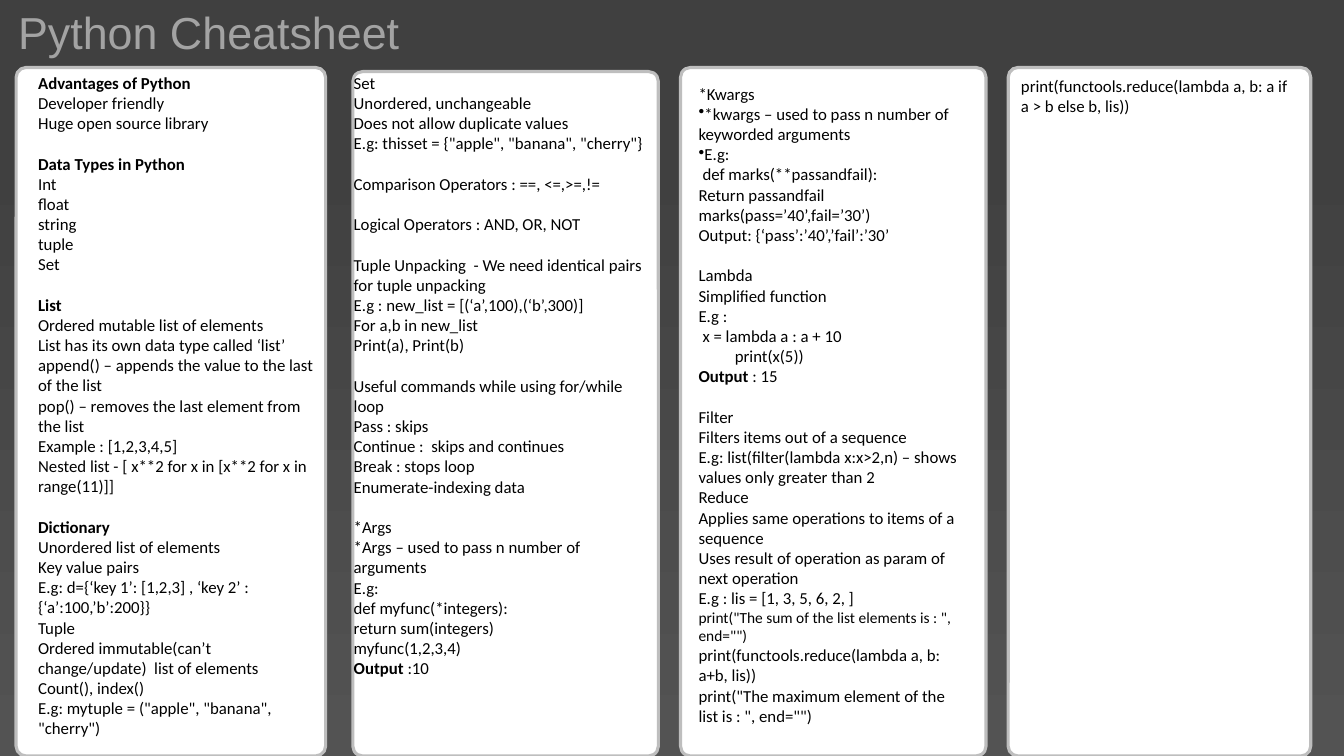
from pptx import Presentation
from pptx import util as u
from pptx.dml.color import RGBColor
from pptx.enum import shapes, text
from pptx.oxml.ns import qn

HUES = {"top": "404040", "base": "535353", "title": "A3A3A3",
        "card": "FFFFFF", "edge": "BEBEBE", "ink": "000000"}

BASICS = """# Advantages of Python
Developer friendly
Huge open source library

# Data Types in Python
Int
float
string
tuple
Set

# List
Ordered mutable list of elements
List has its own data type called ‘list’
append() – appends the value to the last of the list
pop() – removes the last element from the list
Example : [1,2,3,4,5]
Nested list - [ x**2 for x in [x**2 for x in range(11)]]

# Dictionary
Unordered list of elements
Key value pairs
E.g: d={‘key 1’: [1,2,3] , ‘key 2’ : {‘a’:100,’b’:200}}
Tuple
Ordered immutable(can’t change/update)  list of elements
Count(), index()
E.g: mytuple = ("apple", "banana", "cherry")"""

LOOPS = """Set
Unordered, unchangeable
Does not allow duplicate values
E.g: thisset = {"apple", "banana", "cherry"}

Comparison Operators : ==, <=,>=,!=

Logical Operators : AND, OR, NOT

Tuple Unpacking  - We need identical pairs for tuple unpacking
E.g : new_list = [(‘a’,100),(‘b’,300)]
For a,b in new_list
Print(a), Print(b)

Useful commands while using for/while loop
Pass : skips
Continue :  skips and continues
Break : stops loop
Enumerate-indexing data

*Args
*Args – used to pass n number of arguments
E.g:
def myfunc(*integers):
return sum(integers)
myfunc(1,2,3,4)
Output :10"""

TOOLS = """*Kwargs
• *kwargs – used to pass n number of keyworded arguments
• E.g:
 def marks(**passandfail):
Return passandfail
marks(pass=’40’,fail=’30’)
Output: {‘pass’:’40’,’fail’:’30’

Lambda
Simplified function
E.g :
 x = lambda a : a + 10
         print(x(5))
Output : 15

Filter
Filters items out of a sequence
E.g: list(filter(lambda x:x>2,n) – shows values only greater than 2
Reduce
Applies same operations to items of a sequence
Uses result of operation as param of next operation
E.g : lis = [1, 3, 5, 6, 2, ]
~ print("The sum of the list elements is : ", end="")
print(functools.reduce(lambda a, b: a+b, lis))
print("The maximum element of the list is : ", end="")"""

REDUCE = "print(functools.reduce(lambda a, b: a if a > b else b, lis))"

COLUMNS = [
    ((0.16, 0.67, 3.07, 6.83), (0.28, 0.67, 2.94, 6.83), BASICS),
    ((3.5, 0.71, 3.03, 6.79), (3.41, 0.67, 3.16, 6.77), LOOPS),
    ((6.75, 0.67, 3.03, 6.83), (6.83, 0.78, 2.83, 6.7), TOOLS),
    ((10, 0.67, 3, 6.83), None, REDUCE),
]


def color(name):
    """Return the named colour."""
    return RGBColor.from_string(HUES[name])


def inches(box):
    """Turn a box of numbers into lengths."""
    return [u.Inches(side) for side in box]


def write(para, words, size=12, font="Calibri", hue="ink", bold=False):
    """Add one formatted run to a paragraph."""
    run = para.add_run()
    run.text = words
    run.font.size, run.font.name, run.font.bold = u.Pt(size), font, bold
    run.font.color.rgb = color(hue)


def indent(para, width, bullet=False):
    """Set the left margin and an optional bullet."""
    props = para._p.get_or_add_pPr()
    props.set("marL", str(u.Inches(width)))
    props.set("indent", "0")
    if bullet:
        mark = props.makeelement(qn("a:buChar"), {"char": "•"})
        props.append(mark)


def notes(frame, body):
    """Fill a frame from marked lines, where an empty line makes a gap."""
    frame.word_wrap = True
    frame.auto_size = text.MSO_AUTO_SIZE.NONE
    frame.vertical_anchor = text.MSO_ANCHOR.TOP
    para, gap = frame.paragraphs[0], False
    for count, line in enumerate(body.split("\n")):
        if not line:
            gap = True
            continue
        if count:
            para = frame.add_paragraph()
        para.alignment = text.PP_ALIGN.LEFT
        if gap:
            para.space_before = u.Pt(14.5)
            gap = False
        mark = line[:2] if line[:2] in ("# ", "• ", "~ ") else ""
        words = line[len(mark):].lstrip(" ")
        depth = len(line) - len(line.lstrip(" "))
        if depth or mark == "• ":
            indent(para, depth * 0.04, mark == "• ")
        if words.startswith("Output "):
            write(para, "Output", bold=True)
            words = words[len("Output"):]
        write(para, words, size=11 if mark == "~ " else 12, bold=mark == "# ")


def column(slide, box, area, body):
    """Draw a rounded card and its notes."""
    card = slide.shapes.add_shape(shapes.MSO_SHAPE.ROUNDED_RECTANGLE, *inches(box))
    card.adjustments[0] = 0.032
    card.shadow.inherit = False
    card.fill.solid()
    card.fill.fore_color.rgb = color("card")
    card.line.color.rgb = color("edge")
    card.line.width = u.Pt(2.25)
    holder = slide.shapes.add_textbox(*inches(area)) if area else card
    notes(holder.text_frame, body)


def backdrop(slide):
    """Fill the background with a vertical gradient."""
    fill = slide.background.fill
    fill.gradient()
    fill.gradient_angle = 270
    for stop, place, name in zip(fill.gradient_stops, (0.19, 1), ("top", "base")):
        stop.position = place
        stop.color.rgb = color(name)


def heading(slide, box):
    """Place and format the title."""
    title = slide.shapes.title
    title.left, title.top, title.width, title.height = inches(box)
    frame = title.text_frame
    frame.auto_size = text.MSO_AUTO_SIZE.NONE
    frame.vertical_anchor = text.MSO_ANCHOR.TOP
    para = frame.paragraphs[0]
    para.alignment = text.PP_ALIGN.LEFT
    write(para, "Python Cheatsheet", size=32, font="Arial", hue="title")


def main():
    """Build the cheatsheet slide."""
    deck = Presentation()
    deck.slide_width, deck.slide_height = inches((13.33, 7.5))
    slide = deck.slides.add_slide(deck.slide_layouts[5])
    backdrop(slide)
    heading(slide, (0.08, 0, 9.33, 0.64))
    for box, area, body in COLUMNS:
        column(slide, box, area, body)
    deck.save("out.pptx")


if __name__ == "__main__":
    main()
